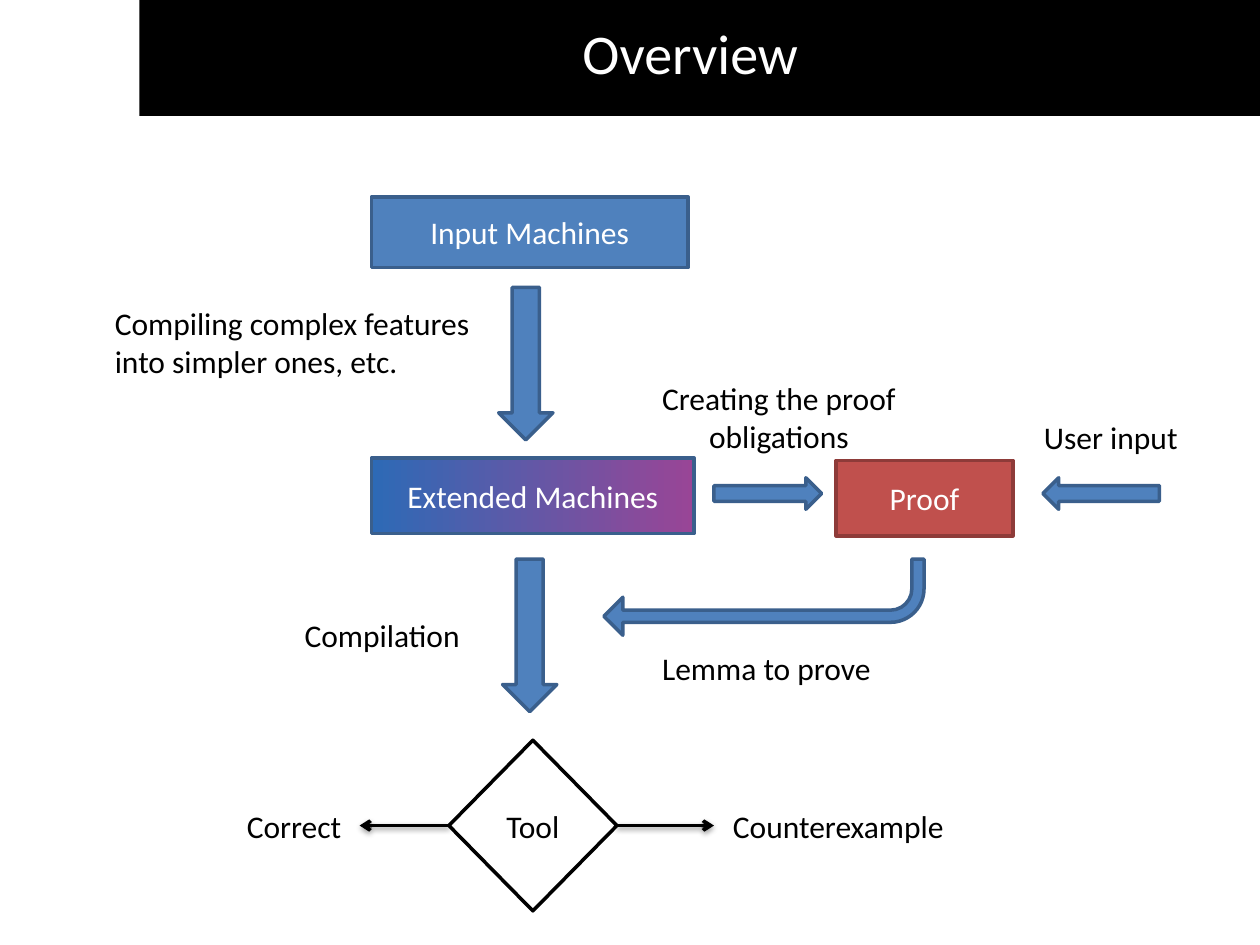
from lxml import etree
from pptx import Presentation
from pptx import util as u
from pptx.dml.color import RGBColor
from pptx.enum import shapes, text
from pptx.oxml import parse_xml
from pptx.oxml.ns import nsdecls, qn

Pt = u.Pt
SHAPE = shapes.MSO_SHAPE
FONT = "Calibri"
COLORS = {
    "black": "000000",
    "white": "FFFFFF",
    "blue": "4F81BD",
    "blue edge": "3A5F8C",
    "red": "C0504D",
    "red edge": "8E3B39",
    "gradient start": "2D6AB6",
    "gradient end": "994596",
}


def rgb(name):
    return RGBColor.from_string(COLORS[name])


def write(frame, lines, color, size=18, aligns=(text.PP_ALIGN.CENTER,)):
    """Fill a text frame; the last alignment serves all remaining lines."""
    for i, line in enumerate(lines):
        para = frame.paragraphs[0] if i == 0 else frame.add_paragraph()
        para.text = line
        para.alignment = aligns[min(i, len(aligns) - 1)]
        para.font.name = FONT
        para.font.size = Pt(size)
        para.font.color.rgb = rgb(color)


def add_block(page, kind, place, fill, edge=None):
    block = page.shapes.add_shape(kind, *map(Pt, place))
    block.shadow.inherit = False
    block.fill.solid()
    block.fill.fore_color.rgb = rgb(fill)
    if edge:
        block.line.color.rgb = rgb(edge)
        block.line.width = Pt(2)
    else:
        block.line.fill.background()
    return block


def add_box(page, label, place, fill, edge, color="white", kind=SHAPE.RECTANGLE):
    box = add_block(page, kind, place, fill, edge)
    box.text_frame.vertical_anchor = text.MSO_ANCHOR.MIDDLE
    write(box.text_frame, [label], color)
    return box


def add_label(page, lines, place, wrap=False, color="black", size=18,
              aligns=(text.PP_ALIGN.LEFT,)):
    label = page.shapes.add_textbox(*map(Pt, place))
    frame = label.text_frame
    frame.word_wrap = wrap
    frame.auto_size = text.MSO_AUTO_SIZE.SHAPE_TO_FIT_TEXT
    write(frame, lines, color, size, aligns)


def shade_across(box):
    """Blend the box from left to right."""
    box.fill.gradient()
    box.fill.gradient_angle = 0
    first, last = box.fill.gradient_stops
    first.color.rgb = rgb("gradient start")
    last.color.rgb = rgb("gradient end")


def add_outcome_line(page, source, site, end_x, y):
    line = page.shapes.add_connector(
        shapes.MSO_CONNECTOR.STRAIGHT, Pt(end_x), Pt(y), Pt(end_x), Pt(y))
    line.begin_connect(source, site)
    line.line.color.rgb = rgb("black")
    line.line.width = Pt(2)
    # Arrowhead and soft shadow
    etree.SubElement(line.line._get_or_add_ln(), qn("a:tailEnd"), type="arrow")
    line._element.spPr.append(parse_xml(
        f'<a:effectLst {nsdecls("a")}>'
        '<a:outerShdw blurRad="40000" dist="20000" dir="5400000" rotWithShape="0">'
        f'<a:srgbClr val="{COLORS["black"]}"><a:alpha val="38000"/></a:srgbClr>'
        '</a:outerShdw></a:effectLst>'))


def main():
    deck = Presentation()
    deck.slide_width, deck.slide_height = Pt(720), Pt(540)
    page = deck.slides.add_slide(deck.slide_layouts[6])

    # Title bar
    add_block(page, SHAPE.RECTANGLE, (79.7, 0, 640.3, 66.2), "black")
    add_label(page, ["Overview"], (69, 7.2, 651, 46), True, "white", 32,
              (text.PP_ALIGN.CENTER,))

    # Stages
    add_box(page, "Input Machines", (212.2, 112.5, 181, 40.5), "blue", "blue edge")
    extended = add_box(page, "Extended Machines", (212.2, 261.8, 184.5, 43),
                       "blue", "blue edge")
    shade_across(extended)
    add_box(page, "Proof", (477.8, 263.2, 101, 43), "red", "red edge")
    checker = add_box(page, "Tool", (256.5, 423, 96, 97.5), "white", "black",
                      "black", SHAPE.DIAMOND)

    # Block arrows between the stages
    for kind, place in (
        (SHAPE.DOWN_ARROW, (285, 164.2, 31, 87.2)),
        (SHAPE.DOWN_ARROW, (287.2, 319.5, 31, 87.2)),
        (SHAPE.RIGHT_ARROW, (408, 273, 61.5, 18)),
        (SHAPE.LEFT_ARROW, (596, 273, 66.5, 18)),
    ):
        add_block(page, kind, place, "blue", "blue edge")
    lemma = add_block(page, SHAPE.BENT_ARROW, (345, 319.5, 183, 43.5),
                      "blue", "blue edge")
    lemma.rotation = 180
    for i, value in enumerate((0.16, 0.25, 0.25, 0.44)):
        lemma.adjustments[i] = value

    # Outcomes of the check
    add_outcome_line(page, checker, 3, 408, 471.75)
    add_outcome_line(page, checker, 1, 205.5, 471.75)

    # Labels
    for label, place in (
        ("Lemma to prove", (371.3, 367.5, 135.5, 29)),
        ("Compilation", (167, 348.5, 104.5, 29)),
        ("Counterexample", (411.8, 457.5, 136, 29)),
        ("Correct", (134, 457.5, 69, 29)),
        ("User input", (589.5, 235.5, 91.5, 29)),
    ):
        add_label(page, [label], place)
    add_label(page, ["Compiling complex features into simpler ones, etc."],
              (58.5, 170.2, 218, 51), True)
    add_label(page, ["Creating the proof", "obligations"], (371.3, 213, 150, 51),
              aligns=(text.PP_ALIGN.LEFT, text.PP_ALIGN.CENTER))

    deck.save("out.pptx")


if __name__ == "__main__":
    main()
